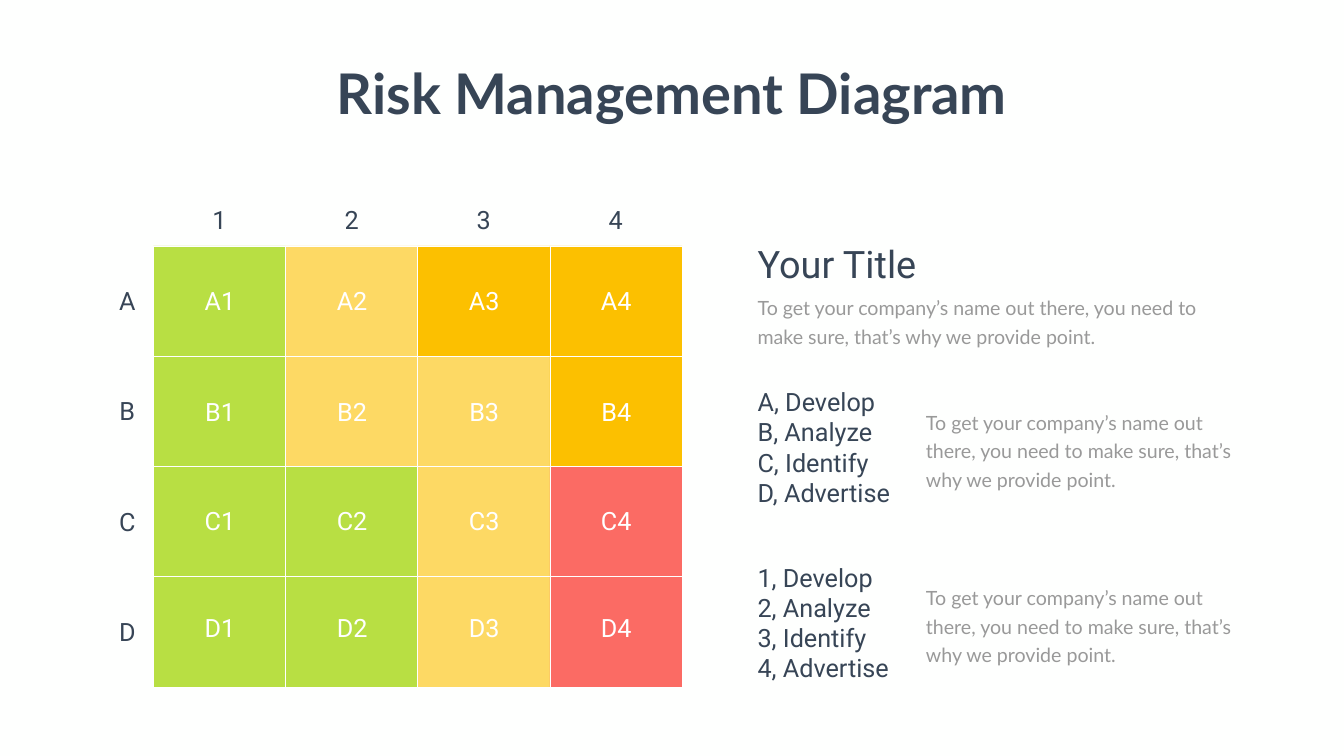
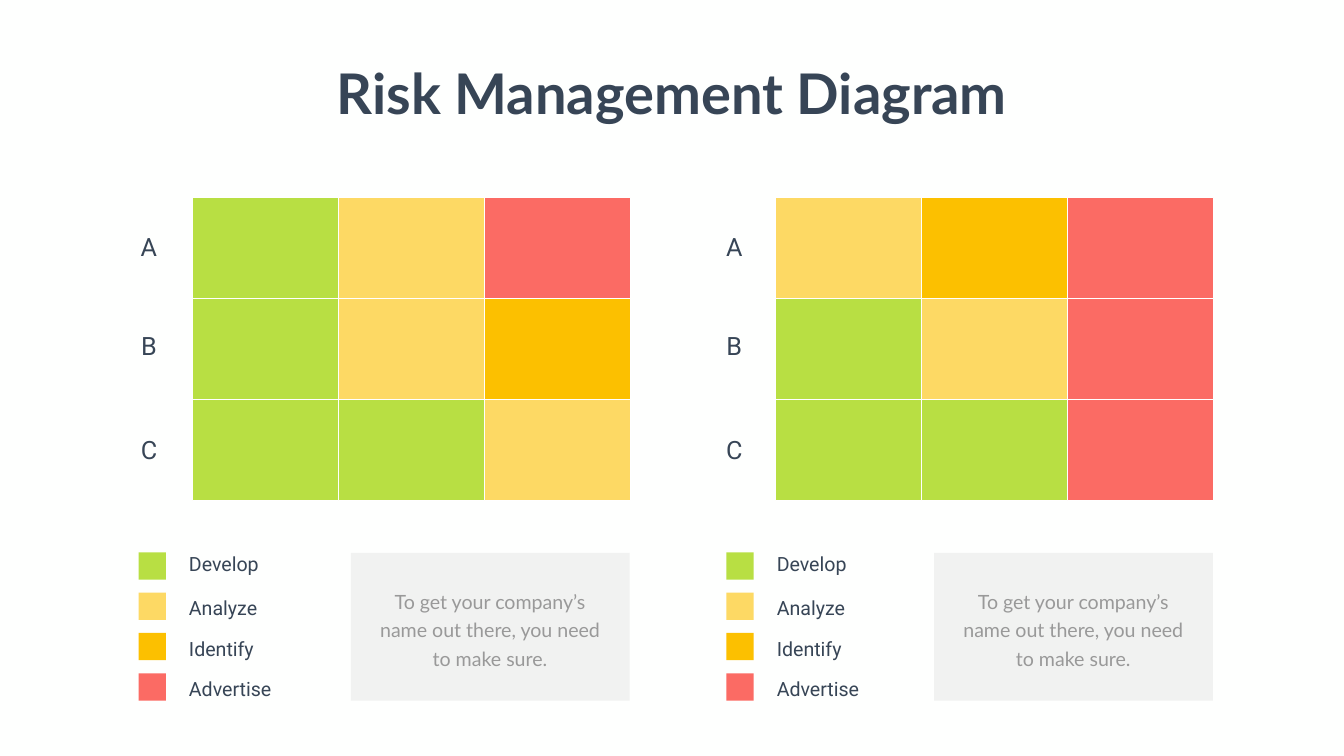
from pptx import Presentation
from pptx.dml.color import RGBColor
from pptx.enum.shapes import MSO_SHAPE
from pptx.enum.text import MSO_ANCHOR, MSO_AUTO_SIZE, PP_ALIGN
from pptx.oxml.ns import qn
from pptx.util import Inches, Pt
from lxml import etree

COLORS = {
    "background": "FEFFFE",
    "ink": "374556",
    "muted": "999999",
    "white": "FFFFFF",
    "panel": "808080",
    "develop": "B8DF43",
    "analyze": "FDD964",
    "identify": "FCC000",
    "advertise": "FB6B64",
}
LEVELS = ["Develop", "Analyze", "Identify", "Advertise"]
LEVEL_CODES = {level[0]: level.lower() for level in ("Develop", "Analyze", "Identify")}
LEVEL_CODES["X"] = "advertise"

TITLE = "Risk Management Diagram"
LONG_TEXT = "To get your company’s name out there, you need to make sure, that’s why we provide point."
SHORT_TEXT = "To get your company’s name out there, you need to make sure."


class Deck:
    """Holds the shared style and the current slide."""

    def __init__(self):
        self.presentation = Presentation()
        self.presentation.slide_width = Inches(26.66)
        self.presentation.slide_height = Inches(15)
        self.slide = None

    def color(self, name):
        return RGBColor.from_string(COLORS[name])

    def style(self, paragraph, size, font, color, align, bold=False):
        paragraph.alignment = align
        paragraph.font.size = Pt(size)
        paragraph.font.name = font
        paragraph.font.bold = bold
        paragraph.font.color.rgb = self.color(color)

    def add_slide(self, title):
        self.slide = self.presentation.slides.add_slide(self.presentation.slide_layouts[5])
        fill = self.slide.background.fill
        fill.solid()
        fill.fore_color.rgb = self.color("background")
        shape = self.slide.shapes.title
        shape.left, shape.top = Inches(6.46), Inches(1.12)
        shape.width, shape.height = Inches(13.74), Inches(1.45)
        frame = shape.text_frame
        frame.text = title
        frame.word_wrap = False
        frame.auto_size = MSO_AUTO_SIZE.NONE
        frame.vertical_anchor = MSO_ANCHOR.TOP
        self.style(frame.paragraphs[0], 80, "Lato", "ink", PP_ALIGN.CENTER, bold=True)

    def text(self, lines, left, top, width, height, size=36, font="Roboto",
             color="ink", align=PP_ALIGN.LEFT, spacing=None):
        box = self.slide.shapes.add_textbox(Inches(left), Inches(top), Inches(width), Inches(height))
        frame = box.text_frame
        frame.word_wrap = True
        frame.auto_size = MSO_AUTO_SIZE.SHAPE_TO_FIT_TEXT
        frame.text = "\n".join(lines)
        for paragraph in frame.paragraphs:
            self.style(paragraph, size, font, color, align)
            if spacing:
                paragraph.line_spacing = Pt(spacing)

    def body(self, text, left, top, width, height, align=PP_ALIGN.LEFT):
        self.text([text], left, top, width, height, 28, "Lato", "muted", align, 40.8)

    def label(self, text, left, top, color="ink"):
        self.text([text], left, top, 1.03, 0.73, color=color, align=PP_ALIGN.CENTER)

    def rectangle(self, left, top, width, height, color, outlined=False, opacity=None):
        shape = self.slide.shapes.add_shape(
            MSO_SHAPE.RECTANGLE, Inches(left), Inches(top), Inches(width), Inches(height))
        shape.shadow.inherit = False
        shape.fill.solid()
        shape.fill.fore_color.rgb = self.color(color)
        if opacity is not None:
            fill_color = shape.fill._xPr.find(f"{qn('a:solidFill')}/{qn('a:srgbClr')}")
            etree.SubElement(fill_color, qn("a:alpha")).set("val", str(opacity * 1000))
        if outlined:
            shape.line.color.rgb = self.color("white")
            shape.line.width = Pt(1)
        else:
            shape.line.fill.background()

    def matrix(self, rows, left, top, width, height):
        """Draws one cell per level code, filling the given area evenly."""
        cell_width, cell_height = width / len(rows[0]), height / len(rows)
        for row, codes in enumerate(rows):
            for column, code in enumerate(codes):
                self.rectangle(left + column * cell_width, top + row * cell_height,
                               cell_width, cell_height, LEVEL_CODES[code], outlined=True)

    def legend(self, left):
        for index, (level, text_top) in enumerate(zip(LEVELS, (10.91, 11.77, 12.58, 13.38))):
            self.rectangle(left, 10.96 + 0.8 * index, 0.54, 0.54, level.lower())
            self.text([level], left + 0.9, text_top, 2.12, 0.57, size=28)

    def note(self, left):
        self.rectangle(left, 10.97, 5.53, 2.93, "panel", opacity=10)
        self.body(SHORT_TEXT, left + 0.33, 11.55, 4.86, 1.77, PP_ALIGN.CENTER)


def build_labelled_matrix(deck):
    deck.add_slide(TITLE)

    # Matrix with row, column and cell labels
    deck.matrix(["DAII", "DAAI", "DDAX", "DDAX"], 3.04, 4.88, 10.49, 8.75)
    for index in range(4):
        deck.label(str(index + 1), 3.84 + 2.62 * index, 4)
        deck.label("ABCD"[index], 2.01, 5.61 + 2.19 * index)
    for letter, top in zip("ABCD", (5.61, 7.81, 9.98, 12.11)):
        for column in range(4):
            deck.label(f"{letter}{column + 1}", 3.85 + 2.62 * column, top, "white")

    # Heading and introduction
    deck.text(["Your Title"], 14.93, 4.72, 3.85, 1.01, size=54)
    deck.body(LONG_TEXT, 14.93, 5.73, 9.72, 1.19)

    # Keys for the rows and the columns
    for marks, top in (("ABCD", 7.62), ("1234", 11.1)):
        lines = [f"{mark}, {level}" for mark, level in zip(marks, LEVELS)]
        deck.text(lines, 14.93, top, 3.34, 2.52)
        deck.body(LONG_TEXT, 18.27, top + 0.38, 6.37, 1.77)


def build_matrix_pair(deck):
    deck.add_slide(TITLE)
    halves = [
        # rows, matrix left, row label left, legend left, note left
        (["DAX", "DAI", "DDA"], 3.81, 2.44, 2.75, 6.96),
        (["AIX", "DAX", "DDX"], 15.38, 14.05, 14.41, 18.53),
    ]
    for rows, matrix_left, label_left, legend_left, note_left in halves:
        deck.matrix(rows, matrix_left, 3.91, 8.69, 6.02)
        for letter, top in zip("ABC", (4.55, 6.51, 8.56)):
            deck.label(letter, label_left, top)
        deck.legend(legend_left)
        deck.note(note_left)


def main():
    deck = Deck()
    build_labelled_matrix(deck)
    build_matrix_pair(deck)
    deck.presentation.save("out.pptx")


if __name__ == "__main__":
    main()
